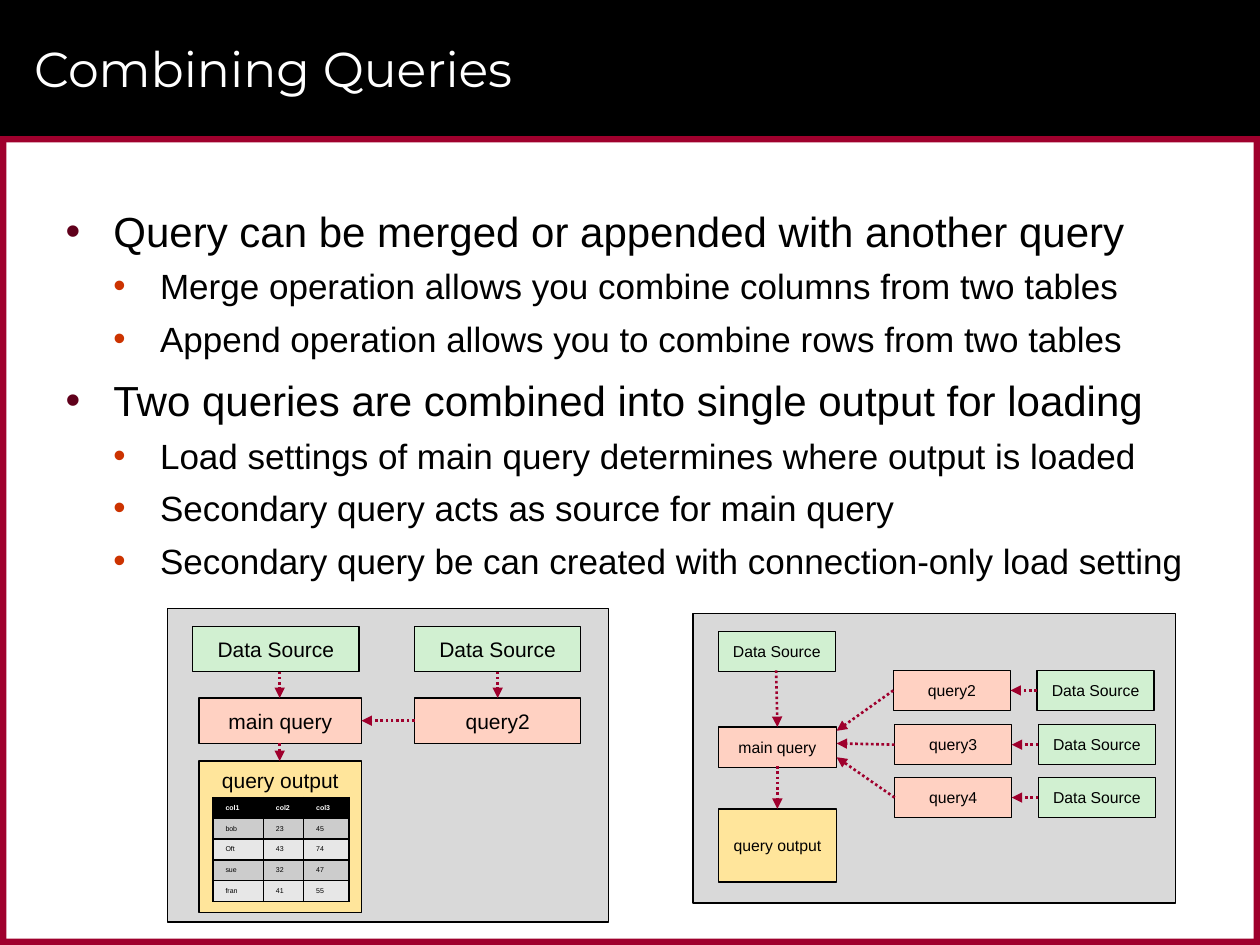
"""Build the slide on combining queries, on a grid of 100 columns by 75 rows."""
from typing import NamedTuple

from lxml import etree
from pptx import Presentation
from pptx import util as u
from pptx.dml.color import RGBColor
from pptx.enum import dml, shapes, text
from pptx.oxml import ns

COLUMNS, ROWS = 100, 75
CELL = u.Inches(0.1)
BLACK = RGBColor(0x00, 0x00, 0x00)
WHITE = RGBColor(0xFF, 0xFF, 0xFF)
CRIMSON = RGBColor(0x9F, 0x00, 0x2D)
GREY = RGBColor(0xD9, 0xD9, 0xD9)
GREEN = RGBColor(0xD1, 0xF0, 0xD1)
PEACH = RGBColor(0xFF, 0xD1, 0xC2)
YELLOW = RGBColor(0xFF, 0xE5, 0x9B)
BANDS = (RGBColor(0xE7, 0xE7, 0xE7), RGBColor(0xCC, 0xCC, 0xCC))


class Area(NamedTuple):
    column: float
    row: float
    columns: float
    rows: float


class Box(NamedTuple):
    label: str
    area: Area
    fill: RGBColor
    size: float
    anchor: text.MSO_ANCHOR = text.MSO_ANCHOR.MIDDLE


class Arrow(NamedTuple):
    start: tuple[float, float]
    end: tuple[float, float]


class Level(NamedTuple):
    size: float
    left: float
    hanging: float
    before: float
    after: float
    bullet_color: str


LEVELS = (
    Level(24, 3.8, 3.8, 6, 2, "60001B"),
    Level(20, 7.5, 3.7, 3, 3, "CC3300"),
)
BULLETS = (
    (0, "Query can be merged or appended with another query"),
    (1, "Merge operation allows you combine columns from two tables"),
    (1, "Append operation allows you to combine rows from two tables"),
    (0, "Two queries are combined into single output for loading"),
    (1, "Load settings of main query determines where output is loaded"),
    (1, "Secondary query acts as source for main query"),
    (1, "Secondary query be can created with connection-only load setting"),
)
FRAME = (
    (Area(0, 0, COLUMNS, 10.8), BLACK),
    (Area(0, 10.8, COLUMNS, 0.5), CRIMSON),
    (Area(0, 74.5, COLUMNS, 0.5), CRIMSON),
    (Area(99.5, 10.8, 0.5, 64.2), CRIMSON),
    (Area(0, 10.8, 0.5, 64.2), CRIMSON),
)
MERGE_PANEL = Area(13.3, 48.3, 35, 24.9)
MERGE_BOXES = (
    Box("query output", Area(15.8, 60.4, 12.9, 12), YELLOW, 12, text.MSO_ANCHOR.TOP),
    Box("main query", Area(15.8, 55.4, 12.9, 3.6), PEACH, 12),
    Box("query2", Area(32.9, 55.4, 13.2, 3.6), PEACH, 12),
    Box("Data Source", Area(15.3, 49.7, 13.2, 3.6), GREEN, 12),
    Box("Data Source", Area(32.9, 49.7, 13.2, 3.6), GREEN, 12),
)
MERGE_ARROWS = (
    Arrow((22.2, 59), (22.2, 60.4)),
    Arrow((22.2, 53.3), (22.2, 55.4)),
    Arrow((39.5, 53.3), (39.5, 55.4)),
    Arrow((32.9, 57.2), (28.7, 57.2)),
)
APPEND_PANEL = Area(55, 48.7, 38.3, 23)
APPEND_BOXES = (
    Box("query output", Area(57, 64.2, 9.4, 5.8), YELLOW, 9),
    Box("main query", Area(57, 57.7, 9.4, 3.2), PEACH, 9),
    Box("Data Source", Area(57, 50.1, 9.3, 3.2), GREEN, 9),
)
APPEND_ARROWS = (
    Arrow((61.7, 60.8), (61.7, 64.2)),
    Arrow((61.6, 53.2), (61.7, 57.7)),
)
BRANCHES = (("query2", 70.9, 53.2, 58), ("query3", 71, 57.5, 59), ("query4", 71, 61.7, 60.1))
TABLE_AREA = Area(16.9, 63.3, 10.8, 8.25)
TABLE_COLUMNS = (4, 3.2, 3.6)
TABLE_ROWS = (
    ("col1", "col2", "col3"),
    ("bob", "23", "45"),
    ("Oft", "43", "74"),
    ("sue", "32", "47"),
    ("fran", "41", "55"),
)


def cells(count: float) -> u.Emu:
    """Turn a number of grid cells into a length."""
    return u.Emu(round(count * CELL))


def set_font(paragraph, name: str, size: float, color: RGBColor, bold: bool = False) -> None:
    """Set the font of a whole paragraph."""
    font = paragraph.font
    font.name, font.size, font.bold = name, u.Pt(size), bold
    font.color.rgb = color


def add_rectangle(slide, area: Area, fill: RGBColor, line_width: float = 0):
    """Draw a flat rectangle, outlined in black if a width is given."""
    shape = slide.shapes.add_shape(shapes.MSO_SHAPE.RECTANGLE, *map(cells, area))
    shape.shadow.inherit = False
    shape.fill.solid()
    shape.fill.fore_color.rgb = fill
    if line_width:
        shape.line.color.rgb = BLACK
        shape.line.width = u.Pt(line_width)
    else:
        shape.line.fill.background()
    return shape


def add_box(slide, box: Box) -> None:
    """Draw a labelled step of a diagram."""
    frame = add_rectangle(slide, box.area, box.fill, 0.75).text_frame
    frame.margin_left = frame.margin_right = 0
    frame.word_wrap = True
    frame.vertical_anchor = box.anchor
    paragraph = frame.paragraphs[0]
    paragraph.text = box.label
    paragraph.alignment = text.PP_ALIGN.CENTER
    set_font(paragraph, "Arial", box.size, BLACK)


def add_arrow(slide, arrow: Arrow) -> None:
    """Draw a dotted arrow."""
    connector = slide.shapes.add_connector(
        shapes.MSO_CONNECTOR.STRAIGHT, *map(cells, arrow.start + arrow.end))
    line = connector.line
    line.color.rgb = CRIMSON
    line.width = u.Pt(1.5)
    line.dash_style = dml.MSO_LINE.ROUND_DOT
    etree.SubElement(line._get_or_add_ln(), ns.qn("a:tailEnd"), type="triangle")
    etree.SubElement(connector._element.spPr, ns.qn("a:effectLst"))


def add_diagram(slide, panel: Area, boxes: tuple[Box, ...], arrows: tuple[Arrow, ...]) -> None:
    """Draw a grey panel with its steps and arrows."""
    add_rectangle(slide, panel, GREY, 1)
    for box in boxes:
        add_box(slide, box)
    for arrow in arrows:
        add_arrow(slide, arrow)


def add_branch(slide, name: str, column: float, row: float, target_row: float) -> None:
    """Draw a data source that feeds a query that feeds the main query."""
    source, middle = column + 11.4, row + 1.6
    add_box(slide, Box(name, Area(column, row, 9.3, 3.2), PEACH, 9))
    add_box(slide, Box("Data Source", Area(source, row, 9.3, 3.2), GREEN, 9))
    add_arrow(slide, Arrow((source, middle), (column + 9.3, middle)))
    add_arrow(slide, Arrow((column, middle), (66.4, target_row)))


def add_border(cell) -> None:
    """Outline a table cell in black."""
    properties = cell._tc.get_or_add_tcPr()
    for index, side in enumerate("LRTB"):
        line = etree.Element(ns.qn(f"a:ln{side}"), w=str(u.Pt(1)))
        fill = etree.SubElement(line, ns.qn("a:solidFill"))
        etree.SubElement(fill, ns.qn("a:srgbClr"), val=str(BLACK))
        properties.insert(index, line)


def add_output_table(slide) -> None:
    """Draw the small table of query output."""
    table = slide.shapes.add_table(
        len(TABLE_ROWS), len(TABLE_COLUMNS), *map(cells, TABLE_AREA)).table
    for column, width in zip(table.columns, TABLE_COLUMNS):
        column.width = cells(width)
    for row, values in enumerate(TABLE_ROWS):
        for column, value in enumerate(values):
            cell = table.cell(row, column)
            cell.text = value
            cell.margin_top = cell.margin_bottom = cells(0.3)
            cell.vertical_anchor = text.MSO_ANCHOR.MIDDLE
            cell.fill.solid()
            cell.fill.fore_color.rgb = BANDS[row % 2] if row else BLACK
            set_font(cell.text_frame.paragraphs[0], "Arial", 4,
                     BLACK if row else WHITE, bold=row == 0)
            add_border(cell)


def place(slide, placeholder, area: Area) -> None:
    """Move a placeholder to an area, in front of what is drawn so far."""
    placeholder.left, placeholder.top, placeholder.width, placeholder.height = map(cells, area)
    slide.shapes._spTree.append(placeholder._element)
    placeholder.text_frame.auto_size = text.MSO_AUTO_SIZE.NONE


def write_title(slide) -> None:
    """Fill the title placeholder."""
    title = slide.shapes.title
    place(slide, title, Area(1.7, 0.8, 94.2, 9.2))
    title.text_frame.vertical_anchor = text.MSO_ANCHOR.MIDDLE
    paragraph = title.text_frame.paragraphs[0]
    paragraph.text = "Combining Queries"
    paragraph.alignment = text.PP_ALIGN.LEFT
    set_font(paragraph, "Montserrat", 28, WHITE)


def write_bullets(slide) -> None:
    """Fill the body placeholder with the two-level list."""
    body = slide.placeholders[1]
    place(slide, body, Area(4.2, 15.8, 91.7, 56.7))
    frame = body.text_frame
    for index, (depth, wording) in enumerate(BULLETS):
        paragraph = frame.add_paragraph() if index else frame.paragraphs[0]
        level = LEVELS[depth]
        paragraph.text, paragraph.level = wording, depth
        paragraph.space_before, paragraph.space_after = u.Pt(level.before), u.Pt(level.after)
        set_font(paragraph, "Arial", level.size, BLACK)
        properties = paragraph._p.get_or_add_pPr()
        properties.set("marL", str(cells(level.left)))
        properties.set("indent", str(-cells(level.hanging)))
        color = etree.Element(ns.qn("a:buClr"))
        etree.SubElement(color, ns.qn("a:srgbClr"), val=level.bullet_color)
        font = etree.Element(ns.qn("a:buFont"), typeface="Arial")
        bullet = etree.Element(ns.qn("a:buChar"), char="•")
        for element in (color, font, bullet):
            properties.find(ns.qn("a:defRPr")).addprevious(element)


def main() -> None:
    """Build and save the presentation."""
    presentation = Presentation()
    presentation.slide_width, presentation.slide_height = cells(COLUMNS), cells(ROWS)
    slide = presentation.slides.add_slide(presentation.slide_layouts[1])
    for area, fill in FRAME:
        add_rectangle(slide, area, fill)
    write_title(slide)
    write_bullets(slide)
    add_diagram(slide, MERGE_PANEL, MERGE_BOXES, MERGE_ARROWS)
    add_output_table(slide)
    add_diagram(slide, APPEND_PANEL, APPEND_BOXES, APPEND_ARROWS)
    for branch in BRANCHES:
        add_branch(slide, *branch)
    presentation.save("out.pptx")


if __name__ == "__main__":
    main()
